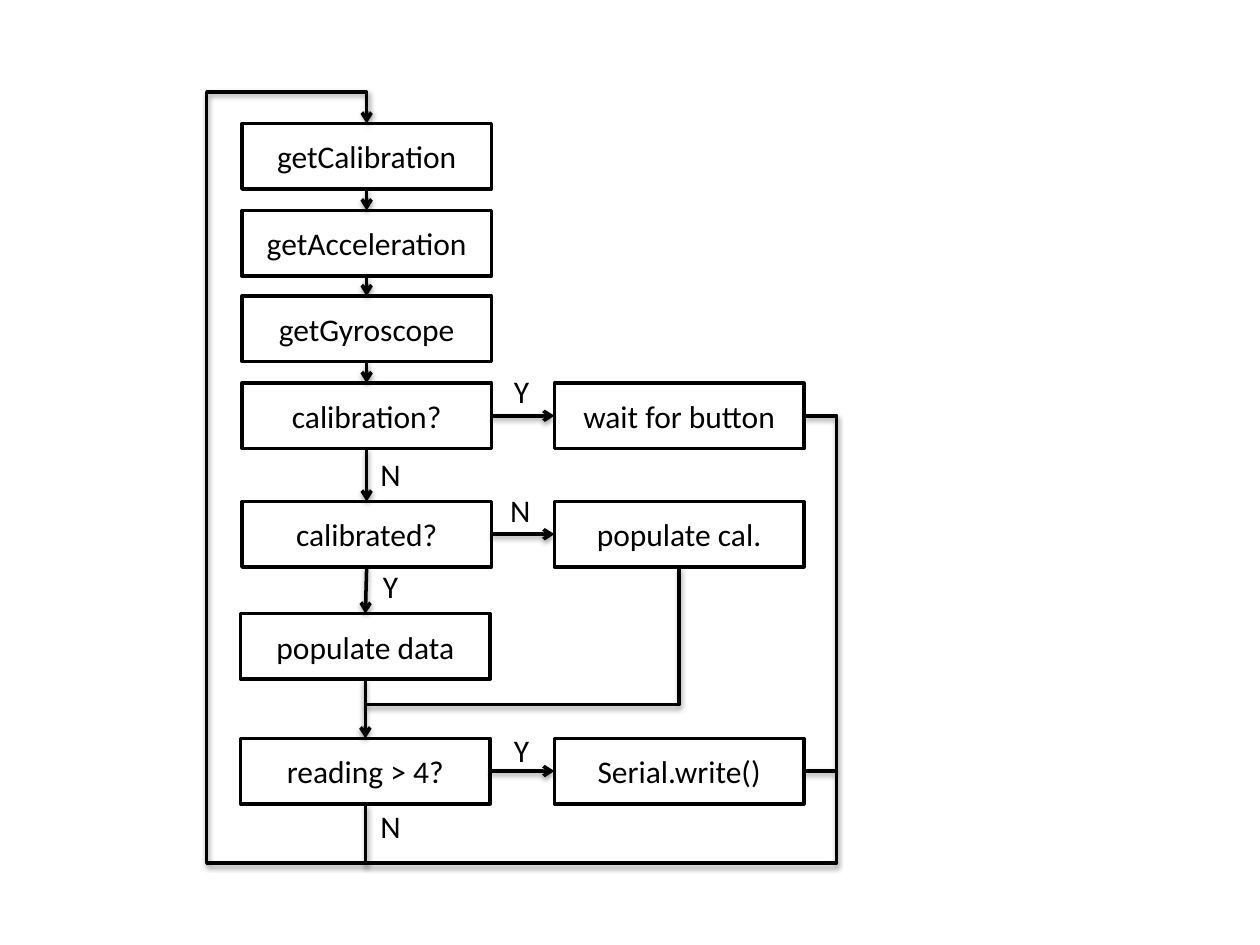
from lxml import etree
from pptx import Presentation
from pptx.dml.color import RGBColor
from pptx.enum.shapes import MSO_CONNECTOR, MSO_SHAPE
from pptx.enum.text import MSO_ANCHOR, MSO_AUTO_SIZE, PP_ALIGN
from pptx.oxml.ns import qn
from pptx.util import Inches, Pt

RECTANGLE = MSO_SHAPE.RECTANGLE
STRAIGHT, ELBOW = MSO_CONNECTOR.STRAIGHT, MSO_CONNECTOR.ELBOW
MIDDLE, CENTER = MSO_ANCHOR.MIDDLE, PP_ALIGN.CENTER
FIT_SHAPE = MSO_AUTO_SIZE.SHAPE_TO_FIT_TEXT
TOP, LEFT, BOTTOM, RIGHT = range(4)  # connection sites of a rectangle

THEME = {
    "ink": RGBColor(0, 0, 0),
    "paper": RGBColor(255, 255, 255),
    "font": "Calibri",
    "size": Pt(18),
    "line": Pt(2),
    "shadow": {"blurRad": Pt(3.1), "dist": Pt(1.6), "dir": 5400000, "rotWithShape": 0},
    "shadow_alpha": 38000,
}

# Content: step -> left, top
BOX_WIDTH, BOX_HEIGHT = 1.98, 0.52
STEPS = {
    "getCalibration": (1.92, 0.98),
    "getAcceleration": (1.92, 1.67),
    "getGyroscope": (1.92, 2.35),
    "calibration?": (1.92, 3.04),
    "calibrated?": (1.92, 3.98),
    "populate data": (1.91, 4.87),
    "reading > 4?": (1.91, 5.86),
    "wait for button": (4.4, 3.04),
    "populate cal.": (4.4, 3.98),
    "Serial.write()": (4.4, 5.86),
}
MAIN_FLOW = list(STEPS)[:7]
BRANCHES = [
    ("calibration?", "wait for button"),
    ("calibrated?", "populate cal."),
    ("reading > 4?", "Serial.write()"),
]
# Answer, left, top, width
ANSWERS = [
    ("Y", 3.98, 2.9, 0.33),
    ("N", 2.92, 3.56, 0.36),
    ("N", 3.95, 3.85, 0.36),
    ("Y", 2.94, 4.45, 0.33),
    ("Y", 3.98, 5.75, 0.33),
    ("N", 2.92, 6.36, 0.36),
]
ANSWER_HEIGHT = 0.4
# Elbows: start, end, turning coordinates, rotation in degrees, mirrored, arrow
LOOP_BACK = ((2.9, 6.38), (2.91, 0.98), (6.85, 1.62, 0.73), 270, False, True)
REJOIN = ((5.39, 4.5), (2.9, 5.59), (), 90, False, False)
RETURN = ((6.38, 3.3), (2.9, 6.86), (6.64, 6.85), 0, True, False)
RETURN_X = 6.64

deck = Presentation()
deck.slide_width, deck.slide_height = Inches(10), Inches(7.5)
page = deck.slides.add_slide(deck.slide_layouts[6])


def write(frame, text, **para_format):
    para = frame.paragraphs[0]
    for name, value in para_format.items():
        setattr(para, name, value)
    span = para.add_run()
    span.text = text
    for name, value in {"name": THEME["font"], "size": THEME["size"]}.items():
        setattr(span.font, name, value)
    span.font.color.rgb = THEME["ink"]


def add_step(text, left, top):
    box = page.shapes.add_shape(RECTANGLE, *map(Inches, (left, top, BOX_WIDTH, BOX_HEIGHT)))
    box.shadow.inherit = False
    box.fill.solid()
    box.fill.fore_color.rgb = THEME["paper"]
    box.line.color.rgb = THEME["ink"]
    box.line.width = THEME["line"]
    box.text_frame.vertical_anchor = MIDDLE
    write(box.text_frame, text, alignment=CENTER)
    return box


def add_line(start, end, kind=STRAIGHT, arrow=True):
    line = page.shapes.add_connector(kind, *map(Inches, (*start, *end)))
    line.line.color.rgb = THEME["ink"]
    line.line.width = THEME["line"]
    properties = line._element.spPr
    if arrow:
        etree.SubElement(properties.find(qn("a:ln")), qn("a:tailEnd"), type="arrow")
    effects = etree.SubElement(properties, qn("a:effectLst"))
    shadow = etree.SubElement(effects, qn("a:outerShdw"))
    for name, value in THEME["shadow"].items():
        shadow.set(name, str(int(value)))
    color = etree.SubElement(shadow, qn("a:srgbClr"), val=str(THEME["ink"]))
    etree.SubElement(color, qn("a:alpha"), val=str(THEME["shadow_alpha"]))
    return line


def link(source, source_site, target, target_site):
    line = add_line((0, 0), (1, 1))
    line.begin_connect(boxes[source], source_site)
    line.end_connect(boxes[target], target_site)


def add_elbow(start, end, turns, rotation, mirrored, arrow):
    line = add_line(start, end, ELBOW, arrow)
    upright = rotation % 180 == 90
    across, down = (abs(b - a) for a, b in zip(start, end))
    width, height = (down, across) if upright else (across, down)
    middle_x, middle_y = ((a + b) / 2 for a, b in zip(start, end))
    frame = {"left": middle_x - width / 2, "top": middle_y - height / 2,
             "width": width, "height": height}
    for name, value in frame.items():
        setattr(line, name, Inches(value))
    transform = line._element.spPr.find(qn("a:xfrm"))
    for name in ("flipH", "flipV"):
        transform.attrib.pop(name, None)
    transform.set("rot", str(rotation * 60000))
    if mirrored:
        transform.set("flipH", "1")
    geometry = line._element.spPr.find(qn("a:prstGeom"))
    geometry.set("prst", f"bentConnector{len(turns) + 2}")
    guides = geometry.find(qn("a:avLst"))
    # Each turn is a share of the way from start to end, on alternating axes
    for index, turn in enumerate(turns):
        axis = (index + upright) % 2
        share = (turn - start[axis]) / (end[axis] - start[axis])
        etree.SubElement(guides, qn("a:gd"), name=f"adj{index + 1}",
                         fmla=f"val {round(share * 100000)}")


# Steps
boxes = {text: add_step(text, *place) for text, place in STEPS.items()}

# Straight arrows
for upper, lower in zip(MAIN_FLOW, MAIN_FLOW[1:]):
    link(upper, BOTTOM, lower, TOP)
for question, action in BRANCHES:
    link(question, RIGHT, action, LEFT)

# Loops and joins
for elbow in (LOOP_BACK, REJOIN, RETURN):
    add_elbow(*elbow)
write_left, write_top = STEPS["Serial.write()"]
write_y = write_top + BOX_HEIGHT / 2
add_line((write_left + BOX_WIDTH, write_y), (RETURN_X, write_y), arrow=False)

# Answers
for text, left, top, width in ANSWERS:
    label = page.shapes.add_textbox(*map(Inches, (left, top, width, ANSWER_HEIGHT)))
    label.text_frame.word_wrap = False
    label.text_frame.auto_size = FIT_SHAPE
    write(label.text_frame, text)

deck.save("out.pptx")
